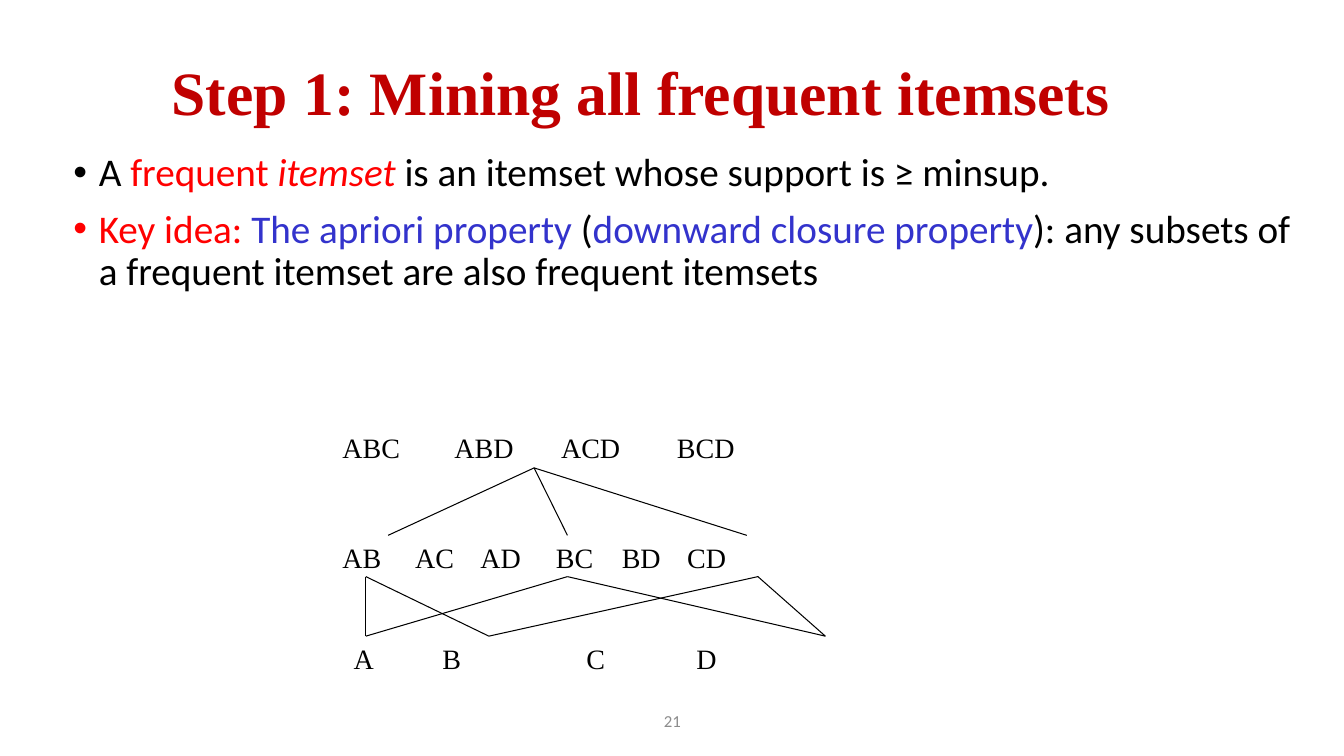
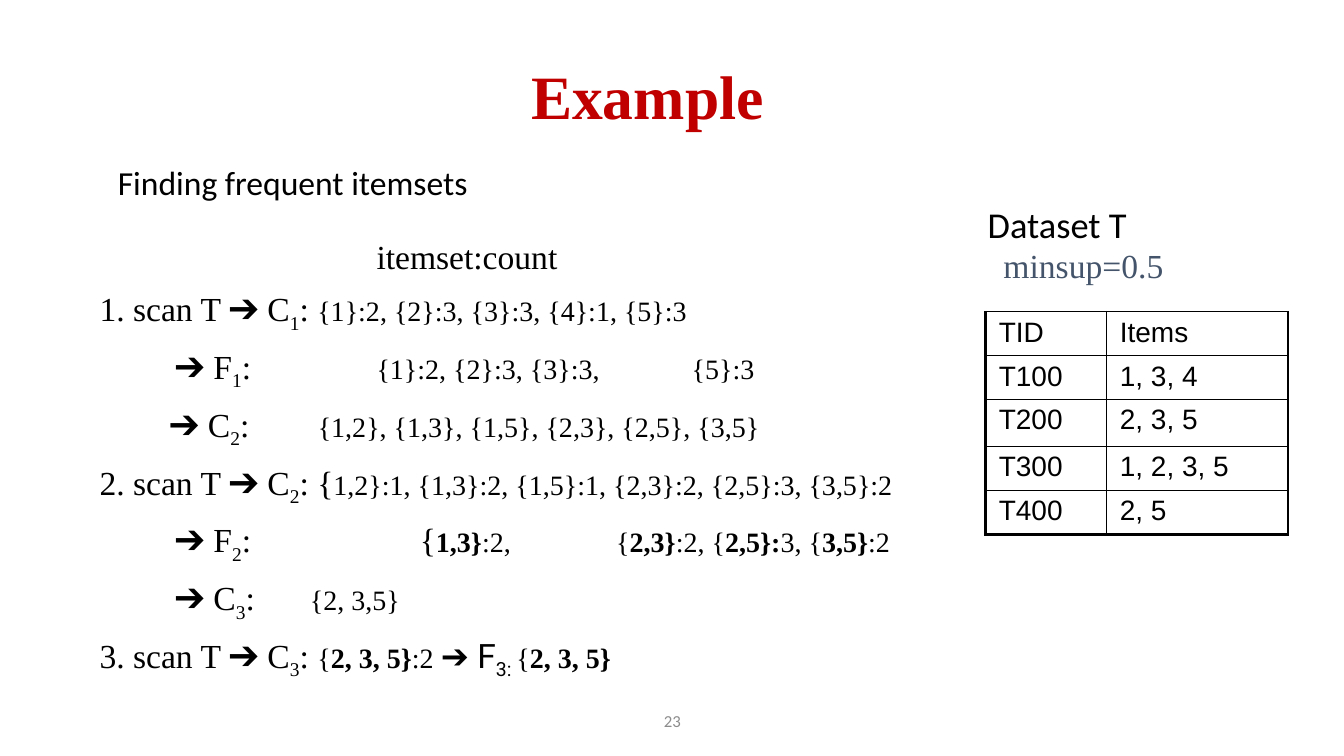
from dataclasses import dataclass

from lxml.etree import SubElement
from pptx import Presentation
from pptx.dml.color import RGBColor
from pptx.enum.shapes import MSO_CONNECTOR
from pptx.enum.text import MSO_ANCHOR, PP_ALIGN
from pptx.oxml import parse_xml
from pptx.oxml.ns import nsdecls, qn
from pptx.util import Cm, Pt


@dataclass(frozen=True)
class Theme:
    black: str = "000000"
    title_red: str = "C00000"
    red: str = "FF0000"
    blue: str = "3333CC"
    slate: str = "44546A"
    gray: str = "8C8C8C"
    serif: str = "Times New Roman"
    sans: str = "Calibri"
    table_font: str = "Arial"
    accent_font: str = "Roboto"
    title_size: int = 44
    body_size: int = 28
    dataset_size: int = 26
    step_size: int = 24
    detail_size: int = 20
    number_size: int = 12
    thin: float = 0.75
    inner_border: float = 1
    outer_border: float = 2.25


THEME = Theme()

# A paragraph is a list of (text, format) runs; all lengths are in centimetres.
RED = {"color": THEME.red}
BLUE = {"color": THEME.blue}
PLAIN = {}
SUB = {"subscript": True}
SMALL = {"size": THEME.detail_size}
BOLD = {"size": THEME.detail_size, "bold": True}
ACCENT = {"font": THEME.accent_font}
ACCENT_SUB = ACCENT | SUB

MINING_TITLE = "Step 1: Mining all frequent itemsets"
MINING_POINTS = [
    [("A ", PLAIN), ("frequent ", RED), ("itemset", RED | {"italic": True}),
     (" is an itemset whose support is ≥ minsup.", PLAIN)],
    [("Key idea: ", RED), ("The apriori property", BLUE), (" (", PLAIN),
     ("downward closure property", BLUE),
     ("): any subsets of a frequent itemset are also frequent itemsets", PLAIN)],
]
# left, top, itemsets, tab stops
LATTICE_ROWS = [
    (8.38, 10.72, ["ABC", "ABD", "ACD", "BCD"], [2.82, 5.51, 8.43]),
    (8.38, 13.49, ["AB", "AC", "AD", "BC", "BD", "CD"], [1.83, 3.48, 5.38, 7.04, 8.69]),
    (8.66, 16.03, ["A", "B", "C", "D"], [2.24, 5.87, 8.64]),
]
# upper y, lower y, {upper x: lower x values}
LATTICE_EDGES = [
    (11.79, 13.49, {13.46: [9.78, 14.3, 18.82]}),
    (14.53, 16.03, {9.22: [9.22, 12.32], 14.3: [9.22, 20.8], 19.1: [12.32, 20.8]}),
]

EXAMPLE_TITLE = "Example"
# tab stops, runs
SCAN_STEPS = [
    ([6.98], [("\titemset:count", PLAIN)]),
    ([], [("1. scan T ➔ C", PLAIN), ("1", SUB), (": ", PLAIN),
          ("{1}:2, {2}:3, {3}:3, {4}:1, {5}:3", SMALL)]),
    ([1.9, 6.98, 14.92], [("\t➔ F", PLAIN), ("1", SUB), (":\t", PLAIN),
                          ("{1}:2, {2}:3, {3}:3,\t{5}:3", SMALL)]),
    ([1.76, 5.5], [("\t➔ C", PLAIN), ("2", SUB), (":\t", PLAIN),
                   ("{1,2}, {1,3}, {1,5}, {2,3}, {2,5}, {3,5}", SMALL)]),
    ([], [("2. scan T ➔ C", PLAIN), ("2", SUB), (": {", PLAIN),
          ("1,2}:1, {1,3}:2, {1,5}:1, {2,3}:2, {2,5}:3, {3,5}:2", SMALL)]),
    ([1.9, 8.07, 13.02], [("\t➔ F", PLAIN), ("2", SUB), (":\t{", PLAIN),
                          ("1,3}", BOLD), (":2,\t{", SMALL), ("2,3}", BOLD),
                          (":2, {", SMALL), ("2,5}:", BOLD), ("3, {", SMALL),
                          ("3,5}", BOLD), (":2", SMALL)]),
    ([1.9, 5.3], [("\t➔ C", PLAIN), ("3", SUB), (":\t", PLAIN), ("{2, 3,5}", SMALL)]),
    ([], [("3. scan T ➔ C", PLAIN), ("3", SUB), (": ", PLAIN), ("{", SMALL),
          ("2, 3, 5}", BOLD), (":2 ", SMALL), ("➔ F", ACCENT), ("3: ", ACCENT_SUB),
          ("{", SMALL), ("2, 3, 5}", BOLD)]),
]
TRANSACTIONS = [
    ("TID", "Items"),
    ("T100", "1, 3, 4"),
    ("T200", "2, 3, 5"),
    ("T300", "1, 2, 3, 5"),
    ("T400", "2, 5"),
]
COLUMN_WIDTHS = [3.05, 4.57]
ROW_HEIGHTS = [1.1, 1.1, 1.18, 1.1, 1.1]


def add_run(paragraph, text, font=THEME.sans, size=THEME.step_size, color=THEME.black,
            bold=False, italic=False, subscript=False):
    run = paragraph.add_run()
    run.text = text
    run.font.name = font
    run.font.size = Pt(size)
    run.font.color.rgb = RGBColor.from_string(color)
    run.font.bold = bold
    run.font.italic = italic
    if subscript:
        run.font._element.set("baseline", "-25000")


def add_bullet(paragraph, indent):
    properties = paragraph._p.get_or_add_pPr()
    properties.set("marL", str(Cm(indent)))
    properties.set("indent", str(-Cm(indent)))
    SubElement(properties, qn("a:buFont"), typeface="Arial")
    SubElement(properties, qn("a:buChar"), char="•")


def add_tab_stops(paragraph, stops):
    tab_list = SubElement(paragraph._p.get_or_add_pPr(), qn("a:tabLst"))
    for stop in stops:
        SubElement(tab_list, qn("a:tab"), pos=str(Cm(stop)), algn="l")


def add_text(slide, box, paragraphs, align=PP_ALIGN.LEFT, anchor=MSO_ANCHOR.TOP,
             line_spacing=1.0, space_before=0, bullet_indent=0, tab_stops=(), **run_format):
    """Add a text box; paragraphs is a string or a list of run lists.

    tab_stops holds one list of stops for each paragraph.
    """
    if isinstance(paragraphs, str):
        paragraphs = [[(paragraphs, {})]]
    frame = slide.shapes.add_textbox(*map(Cm, box)).text_frame
    frame.word_wrap = True
    frame.vertical_anchor = anchor
    for index, runs in enumerate(paragraphs):
        paragraph = frame.add_paragraph() if index else frame.paragraphs[0]
        paragraph.alignment = align
        paragraph.line_spacing = line_spacing
        paragraph.space_before = Pt(space_before if index else 0)
        if bullet_indent:
            add_bullet(paragraph, bullet_indent)
        if tab_stops and tab_stops[index]:
            add_tab_stops(paragraph, tab_stops[index])
        for text, run_style in runs:
            add_run(paragraph, text, **(run_format | run_style))


def add_titled_slide(presentation, title, title_box, number):
    slide = presentation.slides.add_slide(presentation.slide_layouts[6])
    centred = {"align": PP_ALIGN.CENTER, "anchor": MSO_ANCHOR.MIDDLE}
    add_text(slide, (11.23, 17.65, 11.43, 1.02), number, size=THEME.number_size,
             color=THEME.gray, **centred)
    add_text(slide, title_box, title, font=THEME.serif, size=THEME.title_size,
             color=THEME.title_red, bold=True, line_spacing=0.9, **centred)
    return slide


def add_line(slide, start, end):
    line = slide.shapes.add_connector(MSO_CONNECTOR.STRAIGHT, *map(Cm, start + end))
    line.line.color.rgb = RGBColor.from_string(THEME.black)
    line.line.width = Pt(THEME.thin)
    SubElement(line._element.spPr, qn("a:effectLst"))


def set_borders(cell, widths):
    """Draw the cell's borders; widths run left, right, top, bottom."""
    properties = cell._tc.get_or_add_tcPr()
    for position, (side, width) in enumerate(zip("LRTB", widths)):
        properties.insert(position, parse_xml(
            f'<a:ln{side} {nsdecls("a")} w="{Pt(width)}"><a:solidFill>'
            f'<a:srgbClr val="{THEME.black}"/></a:solidFill></a:ln{side}>'))


def add_transaction_table(slide, left, top):
    row_count, column_count = len(TRANSACTIONS), len(COLUMN_WIDTHS)
    box = (left, top, sum(COLUMN_WIDTHS), sum(ROW_HEIGHTS))
    table = slide.shapes.add_table(row_count, column_count, *map(Cm, box)).table
    table.first_row = table.horz_banding = False
    for column, width in zip(table.columns, COLUMN_WIDTHS):
        column.width = Cm(width)
    for row, height in zip(table.rows, ROW_HEIGHTS):
        row.height = Cm(height)
    for row_index, values in enumerate(TRANSACTIONS):
        for column_index, value in enumerate(values):
            cell = table.cell(row_index, column_index)
            cell.fill.background()
            cell.margin_left = cell.margin_right = Cm(0.33)
            cell.margin_top = cell.margin_bottom = Cm(0.13)
            add_run(cell.text_frame.paragraphs[0], value, font=THEME.table_font,
                    size=THEME.detail_size)
            on_edge = (column_index == 0, column_index == column_count - 1,
                       False, row_index == row_count - 1)
            set_borders(cell, [THEME.outer_border if edge else THEME.inner_border
                               for edge in on_edge])


def build_mining_slide(presentation):
    slide = add_titled_slide(presentation, MINING_TITLE, (1.73, 0.81, 28.85, 3.18), "21")
    add_text(slide, (1.6, 3.73, 31.47, 6.99), MINING_POINTS, size=THEME.body_size,
             line_spacing=0.9, space_before=10, bullet_indent=0.64)
    for left, top, itemsets, stops in LATTICE_ROWS:
        add_text(slide, (left, top, 14.96, 1.1), "\t".join(itemsets), tab_stops=[stops],
                 font=THEME.serif, size=THEME.detail_size)
    for upper, lower, links in LATTICE_EDGES:
        for start, ends in links.items():
            for end in ends:
                add_line(slide, (start, upper), (end, lower))


def build_example_slide(presentation):
    slide = add_titled_slide(presentation, EXAMPLE_TITLE, (1.73, 0.91, 29.18, 3.18), "23")
    add_text(slide, (24.64, 4.98, 7.62, 1.7), "Dataset T", size=THEME.dataset_size)
    add_transaction_table(slide, 24.84, 7.85)
    tab_stops, steps = zip(*SCAN_STEPS)
    add_text(slide, (2.26, 5.82, 22.3, 10.62), steps, tab_stops=tab_stops,
             space_before=8.5, font=THEME.serif)
    add_text(slide, (25.04, 6.05, 6.78, 1.27), "minsup=0.5", font=THEME.serif,
             color=THEME.slate)
    add_text(slide, (2.72, 3.96, 12.65, 1.27), "Finding frequent itemsets")


def main():
    presentation = Presentation()
    presentation.slide_width, presentation.slide_height = Cm(33.87), Cm(19.05)
    build_mining_slide(presentation)
    build_example_slide(presentation)
    presentation.save("out.pptx")


if __name__ == "__main__":
    main()
